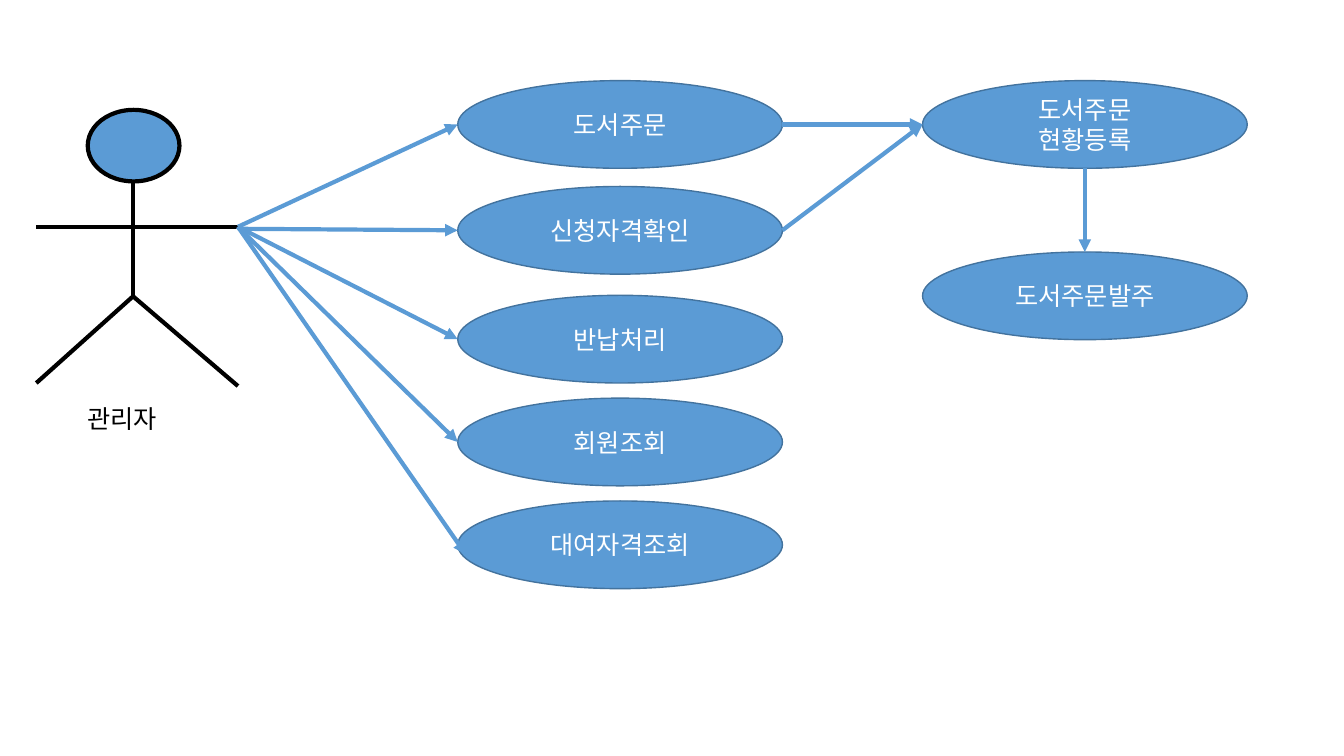
from lxml.etree import SubElement
from pptx import Presentation
from pptx.dml.color import RGBColor
from pptx.enum.shapes import MSO_CONNECTOR, MSO_SHAPE
from pptx.enum.text import MSO_ANCHOR, PP_ALIGN
from pptx.oxml.ns import qn
from pptx.util import Inches, Pt

FONT = "Noto Sans CJK KR"
BLUE = RGBColor(0x5B, 0x9B, 0xD5)
EDGE = RGBColor(0x43, 0x73, 0x9E)
BLACK = RGBColor(0, 0, 0)
WHITE = RGBColor(255, 255, 255)

CASE_W, CASE_H = 3.22, 0.87
TASK_X, ORDER_X = 4.54, 9.15
USE_CASES = {
    "order": (TASK_X, 0.8, ["도서주문"]),
    "eligibility": (TASK_X, 1.85, ["신청자격확인"]),
    "return": (TASK_X, 2.93, ["반납처리"]),
    "member": (TASK_X, 3.95, ["회원조회"]),
    "loan": (TASK_X, 4.97, ["대여자격조회"]),
    "status": (ORDER_X, 0.8, ["도서주문", "현황등록"]),
    "placing": (ORDER_X, 2.5, ["도서주문발주"]),
}
ACTOR = "관리자"
HEAD = (0.87, 1.09, 0.91, 0.71)
HAND, NECK, HIP = (2.36, 2.25), (1.32, 1.8), (1.32, 2.94)
LIMBS = [((0.36, 2.25), HAND), (NECK, HIP), (HIP, (0.36, 3.8)), ((2.36, 3.83), HIP)]


def side(key, dx, dy):
    x, y, _ = USE_CASES[key]
    return x + CASE_W * dx, y + CASE_H * dy


def left(key):
    return side(key, 0, 0.5)


def right(key):
    return side(key, 1, 0.5)


ARROWS = [
    (HAND, left("order")),
    ((2.36, 2.27), left("eligibility")),
    (HAND, left("return")),
    (HAND, left("member")),
    (HAND, (4.62, 5.5)),
    (right("order"), left("status")),
    (right("eligibility"), left("status")),
    (side("status", 0.5, 1), side("placing", 0.5, 0)),
]


def add_ellipse(shapes, box, color, width):
    sp = shapes.add_shape(MSO_SHAPE.OVAL, *map(Inches, box))
    sp.shadow.inherit = False
    sp.fill.solid()
    sp.fill.fore_color.rgb = BLUE
    sp.line.color.rgb = color
    sp.line.width = Pt(width)
    return sp


def add_line(shapes, start, end, color, arrow=False):
    line = shapes.add_connector(MSO_CONNECTOR.STRAIGHT, *map(Inches, start + end))
    line.line.color.rgb = color
    line.line.width = Pt(3)
    if arrow:
        SubElement(line.line._get_or_add_ln(), qn("a:tailEnd"), type="triangle")
    SubElement(line._element.spPr, qn("a:effectLst"))


def write(tf, lines, color, align):
    for i, text in enumerate(lines):
        p = tf.add_paragraph() if i else tf.paragraphs[0]
        p.text = text
        p.alignment = align
        p.font.size = Pt(18)
        p.font.name = FONT
        p.font.color.rgb = color
        SubElement(p.font._element, qn("a:ea"), typeface=FONT)


prs = Presentation()
prs.slide_width, prs.slide_height = Inches(13.33), Inches(7.5)
s = prs.slides.add_slide(prs.slide_layouts[6])

for x, y, lines in USE_CASES.values():
    sp = add_ellipse(s.shapes, (x, y, CASE_W, CASE_H), EDGE, 1)
    sp.text_frame.word_wrap = True
    sp.text_frame.vertical_anchor = MSO_ANCHOR.MIDDLE
    write(sp.text_frame, lines, WHITE, PP_ALIGN.CENTER)

actor = s.shapes.add_group_shape()
add_ellipse(actor.shapes, HEAD, BLACK, 3)
for start, end in LIMBS:
    add_line(actor.shapes, start, end, BLACK)

label = s.shapes.add_textbox(*map(Inches, (0.77, 3.95, 1.03, 0.4)))
label.text_frame.word_wrap = True
write(label.text_frame, [ACTOR], BLACK, PP_ALIGN.LEFT)

for start, end in ARROWS:
    add_line(s.shapes, start, end, BLUE, arrow=True)

prs.save("out.pptx")
